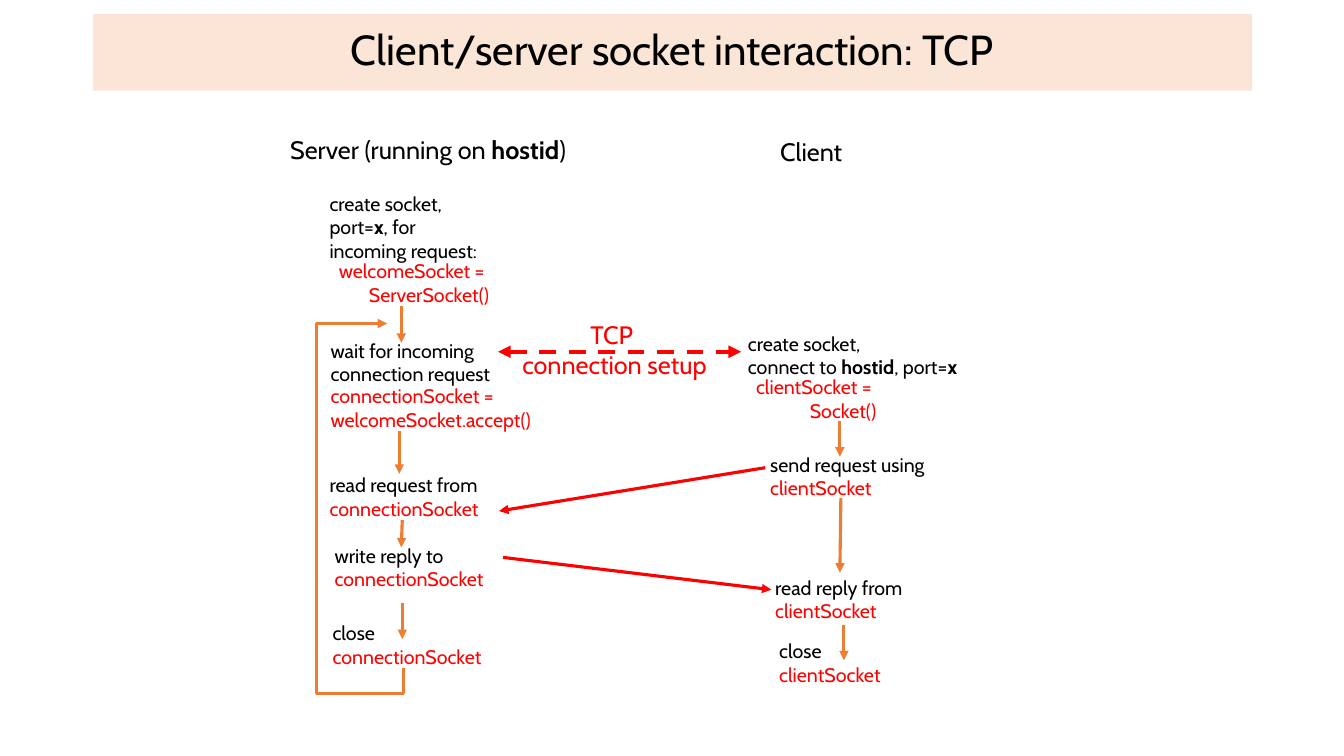
"""Build the TCP client/server socket interaction slide."""
from dataclasses import dataclass

from lxml.etree import SubElement
from pptx import Presentation
from pptx.dml.color import RGBColor
from pptx.dml.line import LineFormat
from pptx.enum.dml import MSO_LINE
from pptx.enum.text import MSO_ANCHOR, MSO_AUTO_SIZE, PP_ALIGN
from pptx.oxml.ns import qn
from pptx.slide import Slide
from pptx.text.text import _Paragraph as Paragraph
from pptx.util import Inches, Pt


@dataclass(frozen=True)
class Theme:
    font: str = "Cabin"
    title_size: float = 30
    heading_size: float = 18
    step_size: float = 14
    flow_width: float = 2.25
    setup_width: float = 3
    ink: RGBColor = RGBColor(0x00, 0x00, 0x00)
    red: RGBColor = RGBColor(0xFF, 0x00, 0x00)
    orange: RGBColor = RGBColor(0xED, 0x7D, 0x31)
    band: RGBColor = RGBColor(0xFB, 0xE5, 0xD6)


THEME = Theme()


@dataclass(frozen=True)
class Span:
    text: str
    color: RGBColor = THEME.ink
    bold: bool = False


@dataclass(frozen=True)
class Label:
    left: float
    top: float
    width: float
    height: float
    lines: tuple[tuple[Span, ...], ...]
    align: PP_ALIGN = PP_ALIGN.LEFT
    size: float = THEME.step_size


@dataclass(frozen=True)
class Arrow:
    start: tuple[float, float]
    end: tuple[float, float]
    color: RGBColor = THEME.orange
    width: float = THEME.flow_width
    two_way: bool = False


def plain(text: str) -> tuple[Span, ...]:
    """Return a line in ink."""
    return (Span(text),)


def code(text: str) -> tuple[Span, ...]:
    """Return a line in the code colour."""
    return (Span(text, THEME.red),)


HOST = Span("hostid", bold=True)
PORT = Span("x", bold=True)
SERVER = code("connectionSocket")
CLIENT = code("clientSocket")

LABELS = (
    Label(2.5, 1.23, 3.49, 0.5, ((Span("Server (running on "), HOST, Span(")")),),
          PP_ALIGN.CENTER, THEME.heading_size),
    Label(7.53, 1.25, 1.03, 0.5, (plain("Client"),), PP_ALIGN.CENTER, THEME.heading_size),
    Label(3.17, 1.85, 1.74, 0.8, (plain("create socket,"),
          (Span("port="), PORT, Span(", for")), plain("incoming request:"))),
    Label(3.17, 2.52, 1.78, 0.57,
          (code("welcomeSocket = "), code("ServerSocket()")), PP_ALIGN.RIGHT),
    Label(3.18, 3.31, 1.83, 0.57, (plain("wait for incoming"), plain("connection request"))),
    Label(3.18, 3.76, 2.29, 0.57,
          (code("connectionSocket ="), code("welcomeSocket.accept()"))),
    Label(3.17, 4.64, 1.75, 0.57, (plain("read request from"), SERVER)),
    Label(3.22, 5.34, 1.7, 0.57, (plain("write reply to"), SERVER)),
    Label(3.2, 6.11, 1.7, 0.57, (plain("close"), SERVER)),
    Label(7.32, 3.24, 2.49, 0.57, (plain("create socket,"),
          (Span("connect to "), HOST, Span(", port="), PORT))),
    Label(7.3, 3.67, 1.49, 0.57,
          (code("clientSocket = "), code("Socket()")), PP_ALIGN.RIGHT),
    Label(7.54, 4.44, 1.82, 0.57, (plain("send request using"), CLIENT)),
    Label(7.59, 5.66, 1.53, 0.57, (plain("read reply from"), CLIENT)),
    Label(7.63, 6.29, 1.22, 0.57, (plain("close"), CLIENT)),
    Label(5.06, 3.12, 2.07, 0.7, (code("TCP "), code("connection setup")),
          PP_ALIGN.CENTER, THEME.heading_size),
)

ARROWS = (
    Arrow((3.98, 3.04), (3.98, 3.4)),
    Arrow((3.96, 4.28), (3.96, 4.7)),
    Arrow((3.99, 5.16), (3.98, 5.43)),
    Arrow((3.99, 5.98), (3.99, 6.34)),
    Arrow((8.33, 4.18), (8.33, 4.53)),
    Arrow((8.34, 4.94), (8.33, 5.68)),
    Arrow((8.37, 6.2), (8.37, 6.55)),
    Arrow((7.59, 4.64), (4.95, 5.07), THEME.red),
    Arrow((4.99, 5.53), (7.65, 5.85), THEME.red),
    Arrow((4.94, 3.49), (7.35, 3.49), THEME.red, THEME.setup_width, two_way=True),
)

LOOP = ((4, 6.63), (4, 6.88), (3.14, 6.88), (3.14, 3.21), (3.84, 3.21))


def add_span(para: Paragraph, span: Span, size: float) -> None:
    """Append one formatted run."""
    run = para.add_run()
    run.text = span.text
    run.font.name = THEME.font
    run.font.size = Pt(size)
    run.font.bold = span.bold
    run.font.color.rgb = span.color


def add_title(page: Slide, text: str) -> None:
    """Place and format the title band."""
    title = page.shapes.title
    title.left, title.top = Inches(0.92), Inches(0.14)
    title.width, title.height = Inches(11.5), Inches(0.76)
    title.fill.solid()
    title.fill.fore_color.rgb = THEME.band
    title.text_frame.vertical_anchor = MSO_ANCHOR.MIDDLE
    para = title.text_frame.paragraphs[0]
    para.alignment = PP_ALIGN.CENTER
    para.line_spacing = 0.9
    add_span(para, Span(text), THEME.title_size)


def add_label(page: Slide, label: Label) -> None:
    """Draw one text label."""
    box = page.shapes.add_textbox(Inches(label.left), Inches(label.top),
                                  Inches(label.width), Inches(label.height))
    frame = box.text_frame
    frame.word_wrap = False
    frame.auto_size = MSO_AUTO_SIZE.SHAPE_TO_FIT_TEXT
    frame.vertical_anchor = MSO_ANCHOR.MIDDLE
    for index, spans in enumerate(label.lines):
        para = frame.add_paragraph() if index else frame.paragraphs[0]
        para.alignment = label.align
        for span in spans:
            add_span(para, span, label.size)


def style_line(line: LineFormat, color: RGBColor, width: float, two_way: bool = False) -> None:
    """Colour a line and add its arrowheads."""
    line.color.rgb = color
    line.width = Pt(width)
    if two_way:
        line.dash_style = MSO_LINE.DASH
    outline = line._get_or_add_ln()
    for end in ("a:headEnd", "a:tailEnd") if two_way else ("a:tailEnd",):
        SubElement(outline, qn(end), type="triangle")


def add_arrow(page: Slide, arrow: Arrow) -> None:
    """Draw one straight arrow."""
    points = [Inches(value) for value in arrow.start + arrow.end]
    connector = page.shapes.add_connector(1, *points)
    style_line(connector.line, arrow.color, arrow.width, arrow.two_way)
    SubElement(connector._element.spPr, qn("a:effectLst"))


def add_loop(page: Slide) -> None:
    """Draw the return path from close to wait."""
    corners = [(Inches(across), Inches(down)) for across, down in LOOP]
    builder = page.shapes.build_freeform(*corners[0])
    builder.add_line_segments(corners[1:], close=False)
    loop = builder.convert_to_shape()
    loop.fill.background()
    style_line(loop.line, THEME.orange, THEME.flow_width)
    loop.shadow.inherit = False


def main() -> None:
    """Create and save the deck."""
    deck = Presentation()
    deck.slide_width, deck.slide_height = Inches(13.33), Inches(7.5)
    page = deck.slides.add_slide(deck.slide_layouts[5])
    add_title(page, "Client/server socket interaction: TCP")
    for label in LABELS:
        add_label(page, label)
    for arrow in ARROWS:
        add_arrow(page, arrow)
    add_loop(page)
    deck.save("out.pptx")


if __name__ == "__main__":
    main()
